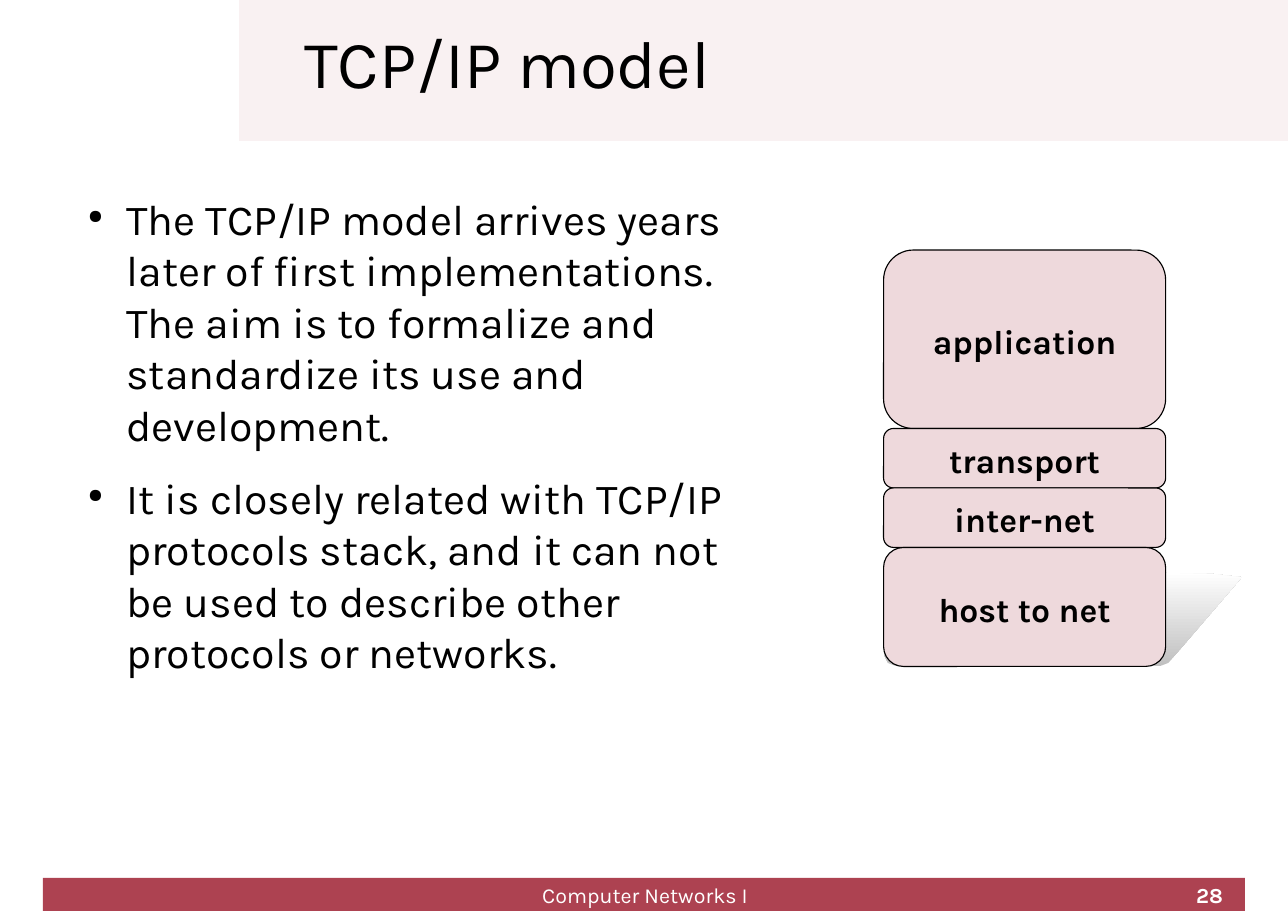
import pptx
import pptx.util
import pptx.dml.color
import pptx.enum.shapes
import pptx.enum.text
import pptx.oxml

RGB = pptx.dml.color.RGBColor
Pt = pptx.util.Pt
KIND = pptx.enum.shapes.MSO_SHAPE
ALIGN = pptx.enum.text.PP_ALIGN
ANCHOR = pptx.enum.text.MSO_ANCHOR

BLACK = RGB(0x00, 0x00, 0x00)
WHITE = RGB(0xFF, 0xFF, 0xFF)
GREY = RGB(0xC0, 0xC0, 0xC0)
BLUSH = RGB(0xF9, 0xF1, 0xF2)
ROSE = RGB(0xEE, 0xD9, 0xDC)
RED = RGB(0xAD, 0x42, 0x51)
FACE = "Karla"
SCALE = 9144  # EMU per px, 100 px to the inch

POINTS = [
    "The TCP/IP model arrives years later of first implementations. "
    "The aim is to formalize and standardize its use and development.",
    "It is closely related with TCP/IP protocols stack, and it can not "
    "be used to describe other protocols or networks.",
]
LAYERS = [("application", 3), ("transport", 1), ("inter-net", 1), ("host to net", 2)]


def px(*sizes):
    return [pptx.util.Emu(size * SCALE) for size in sizes]


def style(para, size, color=BLACK, bold=False, align=ALIGN.LEFT):
    para.alignment = align
    font = para.font
    font.name, font.size, font.bold = FACE, Pt(size), bold
    font.color.rgb = color


def inset(frame, side=0, top=0):
    frame.margin_left, frame.margin_right = px(side, side)
    frame.margin_top, frame.margin_bottom = px(top, top)
    frame.word_wrap = True


def block(slide, kind, box, color):
    shape = slide.shapes.add_shape(kind, *px(*box))
    shape.shadow.inherit = False
    shape.fill.solid()
    shape.fill.fore_color.rgb = color
    shape.line.fill.background()
    return shape


def label(slide, box, text, size, **look):
    """Place one line of text without insets and return its frame."""
    frame = slide.shapes.add_textbox(*px(*box)).text_frame
    inset(frame)
    para = frame.paragraphs[0]
    para.text = text
    style(para, size, **look)
    return frame


def header(slide, box, text):
    left, top, width, height = box
    block(slide, KIND.RECTANGLE, box, BLUSH)
    frame = label(slide, (left + 59, top - 6, 835, 138), text, 44)
    frame.vertical_anchor = ANCHOR.MIDDLE
    frame.paragraphs[0].line_spacing = 0.8


def bullet(para):
    props = para._p.get_or_add_pPr()
    left, indent = px(47, -35)
    props.set("marL", str(left))
    props.set("indent", str(indent))
    space = 'xmlns:a="http://schemas.openxmlformats.org/drawingml/2006/main"'
    for part in (
        f'<a:buClr {space}><a:srgbClr val="{BLACK}"/></a:buClr>',
        f'<a:buSzPct {space} val="45000"/>',
        f'<a:buChar {space} char="●"/>',
    ):
        props.append(pptx.oxml.parse_xml(part))


def body(slide, box, points):
    frame = slide.shapes.add_textbox(*px(*box)).text_frame
    inset(frame, 10, 5)
    for rank, point in enumerate(points):
        para = frame.add_paragraph() if rank else frame.paragraphs[0]
        para.text = point
        para.space_after = Pt(14.2)
        bullet(para)
        style(para, 28)


def shade(slide, box):
    """Draw the slanted shadow cast to the right of the stack."""
    left, top, width, height = box
    base = top + height
    pen = slide.shapes.build_freeform(left + 12, base, scale=SCALE)
    pen.add_line_segments([
        (left + 4, base - 3), (left, base - 11), (left + 63, top + 5),
        (left + 90, top + 2), (left + 194, top), (left + 298, top + 2),
        (left + width, top + 5), (left + 266, base - 12),
        (left + 258, base - 3), (left + 250, base),
    ])
    shape = pen.convert_to_shape()
    shape.shadow.inherit = False
    shape.line.fill.background()
    shape.fill.gradient()
    shape.fill.gradient_angle = 90
    for stop, color in zip(shape.fill.gradient_stops, (GREY, WHITE)):
        stop.color.rgb = color


def stack(slide, box, layers):
    left, top, width, height = box
    unit = height // sum(share for name, share in layers)
    shade(slide, (left, top + height - 86, 325, 86))
    for name, share in layers:
        shape = block(slide, KIND.ROUNDED_RECTANGLE, (left, top, width, share * unit), ROSE)
        shape.line.color.rgb = BLACK
        shape.line.width = Pt(0)
        frame = shape.text_frame
        inset(frame)
        frame.vertical_anchor = ANCHOR.MIDDLE
        para = frame.paragraphs[0]
        para.text = name
        para.line_spacing = 1.08
        style(para, 22, bold=True, align=ALIGN.CENTER)
        top += share * unit


def footer(slide, box, title, number):
    left, top, width, height = box
    block(slide, KIND.RECTANGLE, box, RED)
    label(slide, (left + 361, top + 4, 371, 23), title, 14, color=WHITE, align=ALIGN.CENTER)
    label(slide, (left + width - 292, top + 4, 272, 23), number, 14,
          color=WHITE, bold=True, align=ALIGN.RIGHT)


def main():
    deck = pptx.Presentation()
    deck.slide_width, deck.slide_height = px(1169, 827)
    slide = deck.slides.add_slide(deck.slide_layouts[6])
    header(slide, (217, 0, 952, 128), "TCP/IP model")
    body(slide, (58, 170, 655, 546), POINTS)
    stack(slide, (802, 227, 256, 378), LAYERS)
    footer(slide, (39, 797, 1091, 30), "Computer Networks I", "28")
    deck.save("out.pptx")


if __name__ == "__main__":
    main()
